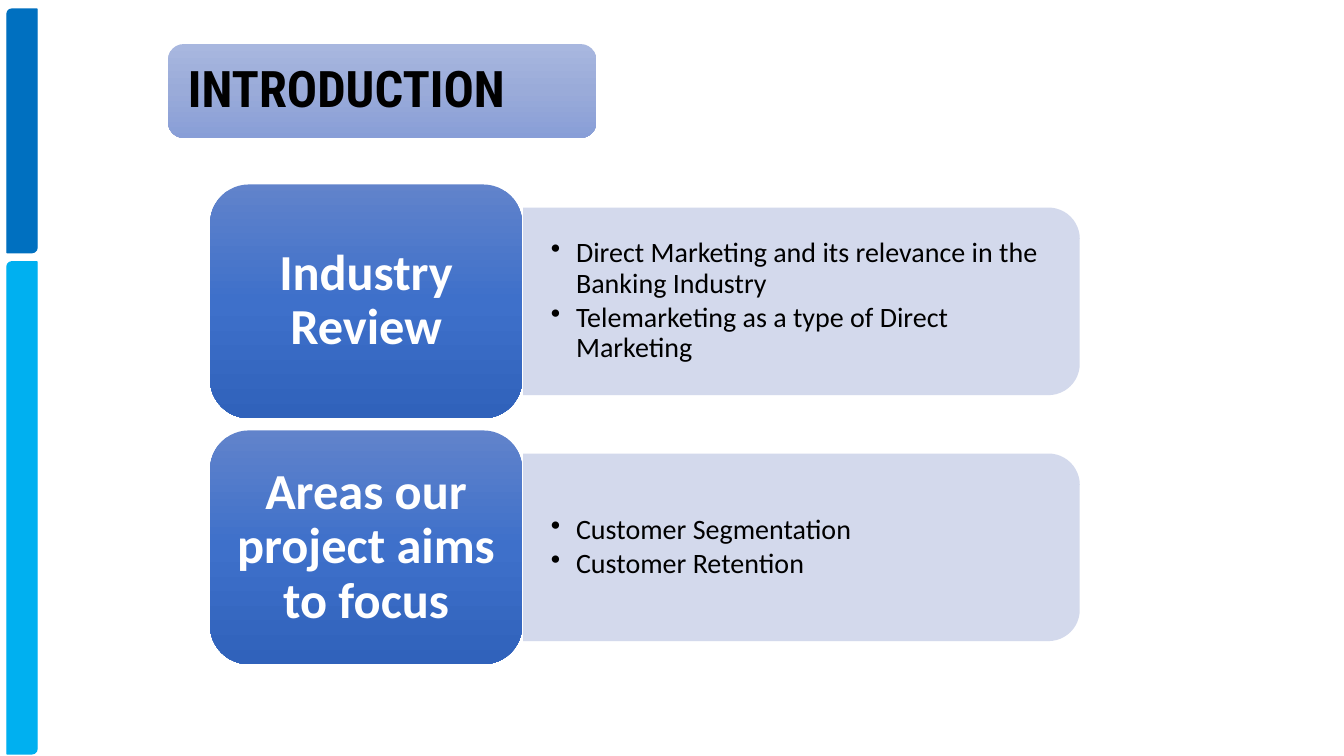
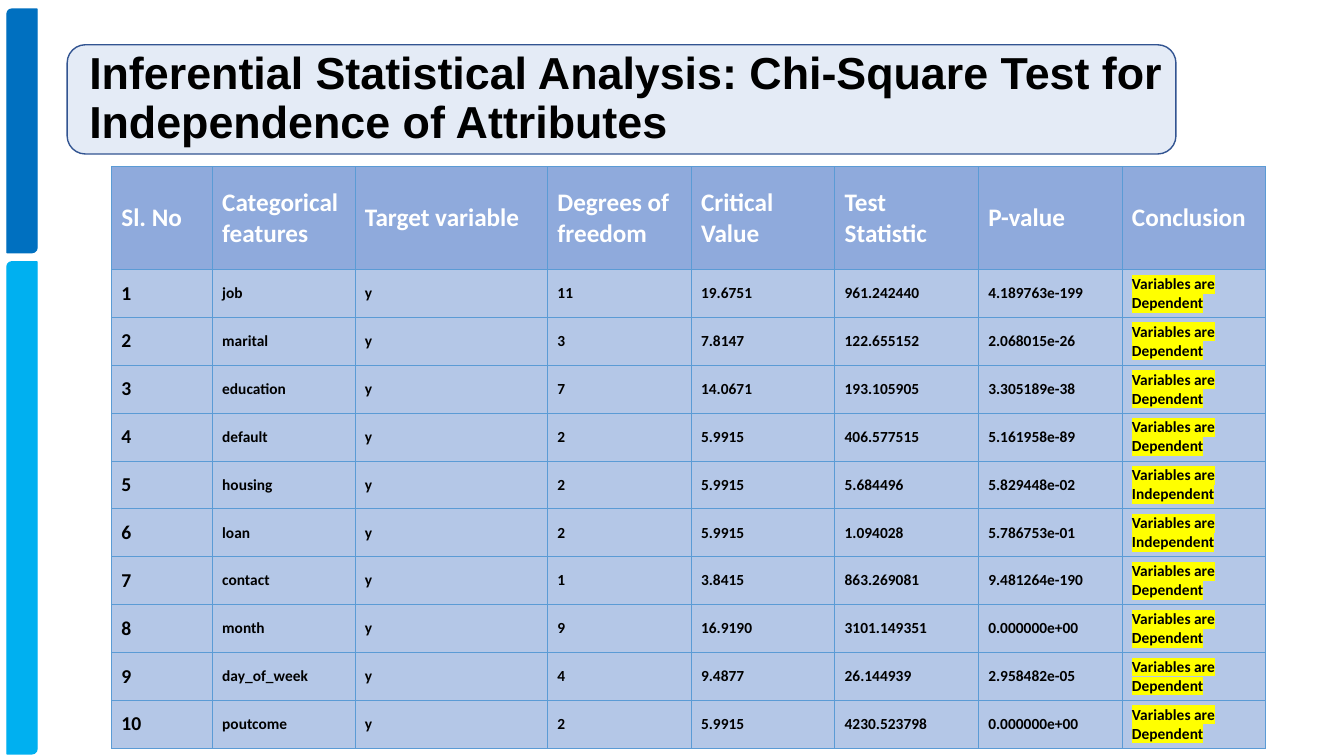
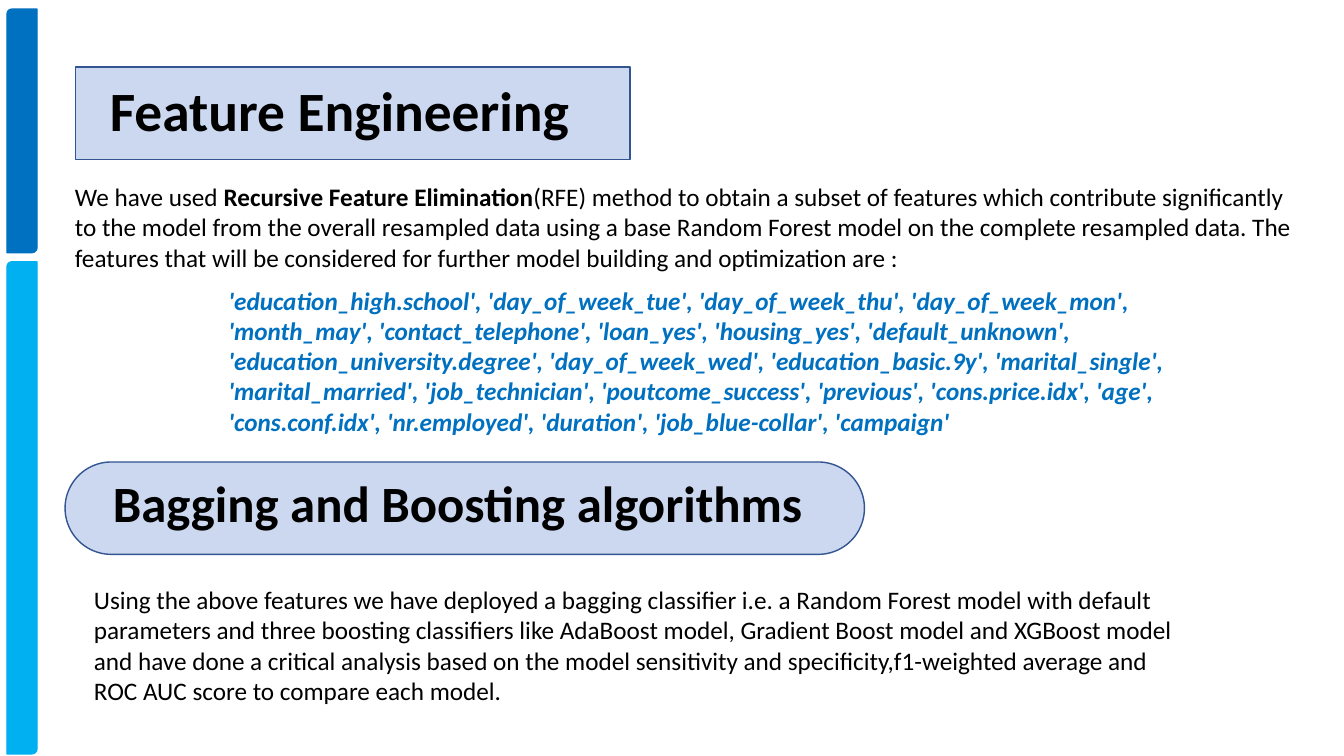
from copy import deepcopy

from lxml.etree import SubElement
from pptx import Presentation
from pptx.dml.color import RGBColor
from pptx.enum.shapes import MSO_SHAPE as SHAPE
from pptx.enum.text import MSO_ANCHOR as ANCHOR, PP_ALIGN as ALIGN
from pptx.oxml import parse_xml
from pptx.oxml.ns import nsdecls, qn
from pptx.util import Pt

BLACK = RGBColor(0x00, 0x00, 0x00)
WHITE = RGBColor(0xFF, 0xFF, 0xFF)
BAR_BLUE = RGBColor(0x00, 0x70, 0xC0)
BAR_CYAN = RGBColor(0x00, 0xB0, 0xF0)
ACCENT = RGBColor(0x44, 0x72, 0xC4)
OUTLINE = RGBColor(0x32, 0x54, 0x91)
PANEL = RGBColor(0xCF, 0xD5, 0xEA)
HEADER_FILL = RGBColor(0x8F, 0xAA, 0xDC)
ROW_FILL = RGBColor(0xB4, 0xC7, 0xE7)
TITLE_GRADIENT = [RGBColor(0xA8, 0xB7, 0xDF), RGBColor(0x9A, 0xAB, 0xD9),
                  RGBColor(0x88, 0x9E, 0xD7)]
CARD_GRADIENT = [RGBColor(0x61, 0x83, 0xCB), RGBColor(0x3E, 0x70, 0xCA),
                 RGBColor(0x30, 0x62, 0xBB)]


def add_block(page, kind, place, fill, line=None, opacity=100):
    """Add a flat shape; a list of three colours as fill gives a vertical gradient."""
    block = page.shapes.add_shape(kind, *[Pt(value) for value in place])
    block.shadow.inherit = False
    properties = block.element.spPr
    if isinstance(fill, list):
        block.fill.gradient()
        stop_list = properties.find(".//" + qn("a:gsLst"))
        stop_list.insert(1, deepcopy(stop_list[0]))
        block.fill.gradient_angle = 270
        for stop, color, position in zip(block.fill.gradient_stops, fill, (0, 0.5, 1)):
            stop.color.rgb = color
            stop.position = position
    else:
        block.fill.solid()
        block.fill.fore_color.rgb = fill
        if opacity < 100:
            color = properties.find(".//" + qn("a:srgbClr"))
            SubElement(color, qn("a:alpha")).set("val", str(opacity * 1000))
    if line is None:
        block.line.fill.background()
    else:
        block.line.color.rgb = line
        block.line.width = Pt(1)
    return block


def write(frame, texts, size, color=BLACK, bold=False, font="Calibri", align=ALIGN.LEFT,
          spacing=1.0, margins=(7.2, 3.6, 7.2, 3.6), anchor=ANCHOR.MIDDLE):
    """Fill a text frame with paragraphs of one style and return the last of them."""
    frame.word_wrap = True
    frame.vertical_anchor = anchor
    (frame.margin_left, frame.margin_top,
     frame.margin_right, frame.margin_bottom) = [Pt(value) for value in margins]
    for index, text in enumerate(texts):
        para = frame.add_paragraph() if index else frame.paragraphs[0]
        para.text = text
        para.alignment = align
        para.line_spacing = spacing
        para.font.name = font
        para.font.size = Pt(size)
        para.font.bold = bold
        para.font.color.rgb = color
    return para


deck = Presentation()
deck.slide_width, deck.slide_height = Pt(960), Pt(540)
pages = [deck.slides.add_slide(deck.slide_layouts[6]) for _ in range(3)]
for page in pages:
    for top, height, color in ((6.5, 174, BAR_BLUE), (187, 351.5, BAR_CYAN)):
        add_block(page, SHAPE.ROUND_2_DIAG_RECTANGLE, (5, top, 21.5, height), color, color)
intro, chi_square, features = pages

# Introduction
title = add_block(intro, SHAPE.ROUNDED_RECTANGLE, (120, 31.5, 306, 67), TITLE_GRADIENT)
write(title.text_frame, ["INTRODUCTION"], 36, bold=True, font="Roboto Condensed",
      spacing=0.9, margins=(11, 11, 11, 11))

TOPICS = [
    ("Industry Review", ["Direct Marketing and its relevance in the Banking Industry",
                         "Telemarketing as a type of Direct Marketing"]),
    ("Areas our project aims to focus", ["Customer Segmentation", "Customer Retention"]),
]
CARD_HEIGHT, CARD_PITCH = 167, 175.7
PANEL_WIDTH, PANEL_HEIGHT = 397.5, 134
for index, (heading, points) in enumerate(TOPICS):
    card_top = 131.75 + index * CARD_PITCH
    middle = card_top + CARD_HEIGHT / 2
    panel = add_block(intro, SHAPE.ROUND_2_SAME_RECTANGLE,
                      (572.5 - PANEL_HEIGHT / 2, middle - PANEL_WIDTH / 2,
                       PANEL_HEIGHT, PANEL_WIDTH), PANEL, opacity=90)
    panel.rotation = 90
    box = intro.shapes.add_textbox(Pt(374), Pt(middle - 60.5), Pt(391), Pt(121))
    write(box.text_frame, points, 20, spacing=0.9, margins=(19.5, 10, 19.5, 10))
    for para in box.text_frame.paragraphs:
        para.space_after = Pt(3)
        settings = para._p.get_or_add_pPr()
        settings.set("marL", str(Pt(18)))
        settings.set("indent", str(-Pt(18)))
        settings.find(qn("a:defRPr")).addprevious(
            parse_xml(f'<a:buChar {nsdecls("a")} char="•"/>'))
    card = add_block(intro, SHAPE.ROUNDED_RECTANGLE, (150, card_top, 223, CARD_HEIGHT),
                     CARD_GRADIENT)
    write(card.text_frame, [heading], 36, WHITE, bold=True, align=ALIGN.CENTER,
          spacing=0.9, margins=(8, 5, 8, 5))

# Chi-square test
title = add_block(chi_square, SHAPE.ROUNDED_RECTANGLE, (48, 32, 792, 78), ACCENT,
                  OUTLINE, opacity=14)
write(title.text_frame,
      ["Inferential Statistical Analysis: Chi-Square Test for Independence of Attributes"],
      32, bold=True, font="Arial", spacing=0.9, margins=(12, 3.6, 0, 3.6))

HEADERS = ["Sl. No", "Categorical\vfeatures", "Target variable", "Degrees of freedom",
           "Critical Value", "Test Statistic", "P-value", "Conclusion"]
RESULTS = [
    ("job", "11", "19.6751", "961.242440", "4.189763e-199", "Dependent"),
    ("marital", "3", "7.8147", "122.655152", "2.068015e-26", "Dependent"),
    ("education", "7", "14.0671", "193.105905", "3.305189e-38", "Dependent"),
    ("default", "2", "5.9915", "406.577515", "5.161958e-89", "Dependent"),
    ("housing", "2", "5.9915", "5.684496", "5.829448e-02", "Independent"),
    ("loan", "2", "5.9915", "1.094028", "5.786753e-01", "Independent"),
    ("contact", "1", "3.8415", "863.269081", "9.481264e-190", "Dependent"),
    ("month", "9", "16.9190", "3101.149351", "0.000000e+00", "Dependent"),
    ("day_of_week", "4", "9.4877", "26.144939", "2.958482e-05", "Dependent"),
    ("poutcome", "2", "5.9915", "4230.523798", "0.000000e+00", "Dependent"),
]
rows = [HEADERS] + [
    [str(number), feature, "y", *figures, f"Variables are {verdict}"]
    for number, (feature, *figures, verdict) in enumerate(RESULTS, 1)]
widths = [72, 102, 137.5] + [102.6] * 5
heights = [73.5] + [34.2] * len(RESULTS)
table = chi_square.shapes.add_table(len(rows), len(widths), Pt(79.5), Pt(119),
                                    Pt(sum(widths)), Pt(sum(heights))).table
for column, width in zip(table.columns, widths):
    column.width = Pt(width)
for row, height in zip(table.rows, heights):
    row.height = Pt(height)
for row_index, texts in enumerate(rows):
    for column_index, text in enumerate(texts):
        cell = table.cell(row_index, column_index)
        cell.vertical_anchor = ANCHOR.MIDDLE
        cell.fill.solid()
        cell.fill.fore_color.rgb = ROW_FILL if row_index else HEADER_FILL
        para = cell.text_frame.paragraphs[0]
        para.text = text
        para.font.name = "Calibri"
        para.font.bold = True
        para.font.color.rgb = BLACK if row_index else WHITE
        para.font.size = Pt(18 if row_index == 0 else 11 if column_index else 14)
        if row_index and column_index == len(widths) - 1:
            para.runs[0]._r.get_or_add_rPr().append(parse_xml(
                f'<a:highlight {nsdecls("a")}><a:srgbClr val="FFFF00"/></a:highlight>'))
        for position, side in enumerate(("lnL", "lnR", "lnT", "lnB")):
            cell._tc.get_or_add_tcPr().insert(position, parse_xml(
                f'<a:{side} {nsdecls("a")} w="{Pt(0.5)}"><a:solidFill>'
                f'<a:srgbClr val="5B9BD5"/></a:solidFill></a:{side}>'))

# Feature engineering
HEADINGS = [
    (SHAPE.RECTANGLE, (54, 48, 396, 66), "Feature Engineering", 39.6, 0.9),
    (SHAPE.ROUNDED_RECTANGLE, (46.5, 330, 571, 66), "Bagging and Boosting algorithms",
     36.3, 0.8),
]
for kind, place, text, size, spacing in HEADINGS:
    heading = add_block(features, kind, place, ACCENT, OUTLINE, opacity=27)
    if kind == SHAPE.ROUNDED_RECTANGLE:
        heading.adjustments[0] = 0.5
    write(heading.text_frame, [text], size, bold=True, spacing=spacing,
          margins=(24.5, 3.6, 7.2, 3.6))

BODIES = [
    ((46.5, 126, 895, 73), "We have used "),
    ((156, 200, 708.5, 117),
     "'education_high.school', 'day_of_week_tue', 'day_of_week_thu', 'day_of_week_mon', "
     "'month_may', 'contact_telephone', 'loan_yes', 'housing_yes', 'default_unknown', "
     "'education_university.degree', 'day_of_week_wed', 'education_basic.9y', "
     "'marital_single', 'marital_married', 'job_technician', 'poutcome_success', "
     "'previous', 'cons.price.idx', 'age', 'cons.conf.idx', 'nr.employed', 'duration', "
     "'job_blue-collar', 'campaign'"),
    ((60, 414, 792, 94.5),
     "Using the above features we have deployed a bagging classifier i.e. a Random Forest "
     "model with default parameters and three boosting classifiers like AdaBoost model, "
     "Gradient Boost model and XGBoost model and have done a critical analysis based on "
     "the model sensitivity and specificity,f1-weighted average and ROC AUC score to "
     "compare each model."),
]
method, selected, models = [
    write(features.shapes.add_textbox(*[Pt(value) for value in place]).text_frame,
          [text], 18, anchor=ANCHOR.TOP)
    for place, text in BODIES]
span = method.add_run()
span.text = "Recursive Feature Elimination"
span.font.bold = True
method.add_run().text = (
    "(RFE) method to obtain a subset of features which contribute significantly to the "
    "model from the overall resampled data using a base Random Forest model on the "
    "complete resampled data. The features that will be considered for further model "
    "building and optimization are :")
selected.font.bold = True
selected.font.italic = True
selected.font.color.rgb = BAR_BLUE

deck.save("out.pptx")
